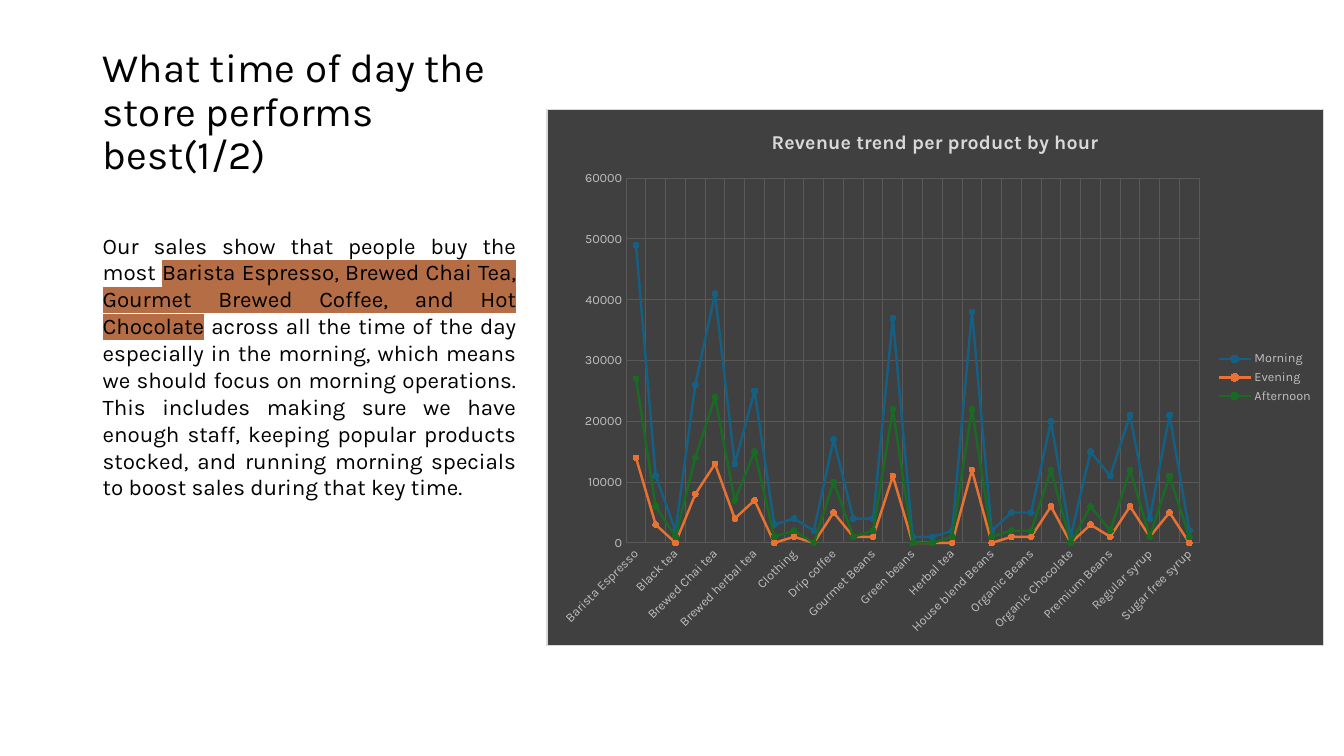
from dataclasses import dataclass

from lxml import etree
from pptx import Presentation
from pptx.chart.data import CategoryChartData
from pptx.dml.color import RGBColor
from pptx.enum.chart import XL_CHART_TYPE, XL_LEGEND_POSITION, XL_MARKER_STYLE, XL_TICK_MARK
from pptx.enum.text import MSO_ANCHOR, PP_ALIGN
from pptx.oxml import parse_xml
from pptx.oxml.ns import nsdecls, qn
from pptx.util import Inches, Pt

LINE_MARKERS = XL_CHART_TYPE.LINE_MARKERS
LEGEND_RIGHT = XL_LEGEND_POSITION.RIGHT
CIRCLE = XL_MARKER_STYLE.CIRCLE
NO_TICK = XL_TICK_MARK.NONE
TOP, BOTTOM = MSO_ANCHOR.TOP, MSO_ANCHOR.BOTTOM
LEFT, JUSTIFY = PP_ALIGN.LEFT, PP_ALIGN.JUSTIFY

FONT = "Karla"
COLORS = {
    "text": "000000", "highlight": "B56D45", "panel": "404040", "border": "D9D9D9",
    "grid": "595959", "label": "BFBFBF", "heading": "D9D9D9",
    "morning": "156082", "evening": "E97132", "afternoon": "196B24",
}


@dataclass(frozen=True)
class TextBlock:
    top: float
    height: float
    size: float
    pieces: tuple[tuple[str, bool], ...]  # wording, highlighted
    frame: dict
    paragraph: dict


@dataclass(frozen=True)
class DayPart:
    name: str
    color: str
    thousands: tuple[int, ...]


TEXT_BLOCKS = (
    TextBlock(0.5, 1.75, 28.8, (("What time of day the store performs best(1/2)", False),),
              {"vertical_anchor": BOTTOM, "margin_bottom": Inches(0.48)},
              {"alignment": LEFT, "line_spacing": 0.9}),
    TextBlock(2.25, 4.17, 16, (
        ("Our sales show that people buy the most ", False),
        ("Barista Espresso, Brewed Chai Tea, Gourmet Brewed Coffee, and Hot Chocolate", True),
        (" across all the time of the day especially in the morning, which means we should "
         "focus on morning operations. This includes making sure we have enough staff, keeping "
         "popular products stocked, and running morning specials to boost sales during that "
         "key time.", False)),
        {"vertical_anchor": TOP},
        {"alignment": JUSTIFY, "space_before": Pt(10)}),
)

PRODUCTS = (
    "Barista Espresso", "Biscotti", "Black tea", "Brewed Black tea", "Brewed Chai tea",
    "Brewed Green tea", "Brewed herbal tea", "Chai tea", "Clothing", "Drinking Chocolate",
    "Drip coffee", "Espresso Beans", "Gourmet Beans", "Gourmet brewed coffee", "Green beans",
    "Green tea", "Herbal tea", "Hot chocolate", "House blend Beans", "Housewares",
    "Organic Beans", "Organic brewed coffee", "Organic Chocolate", "Pastry", "Premium Beans",
    "Premium brewed coffee", "Regular syrup", "Scone", "Sugar free syrup",
)
DAY_PARTS = (
    DayPart("Morning", "morning", (49, 11, 2, 26, 41, 13, 25, 3, 4, 2, 17, 4, 4, 37, 1, 1, 2,
                                   38, 2, 5, 5, 20, 1, 15, 11, 21, 4, 21, 2)),
    DayPart("Evening", "evening", (14, 3, 0, 8, 13, 4, 7, 0, 1, 0, 5, 1, 1, 11, 0, 0, 0,
                                   12, 0, 1, 1, 6, 0, 3, 1, 6, 1, 5, 0)),
    DayPart("Afternoon", "afternoon", (27, 6, 1, 14, 24, 7, 15, 1, 2, 0, 10, 1, 2, 22, 0, 0, 1,
                                       22, 1, 2, 2, 12, 0, 6, 2, 12, 1, 11, 1)),
)


def rgb(name: str) -> RGBColor:
    return RGBColor.from_string(COLORS[name])


def apply_format(target, values: dict) -> None:
    for attribute, value in values.items():
        setattr(target, attribute, value)


def style_font(font, size: float, color: str, bold: bool = False) -> None:
    apply_format(font, {"name": FONT, "size": Pt(size), "bold": bold})
    font.color.rgb = rgb(color)


def style_line(line, color: str, width: float) -> None:
    line.color.rgb = rgb(color)
    line.width = Pt(width)


def highlight(run) -> None:
    mark = etree.Element(qn("a:highlight"))
    etree.SubElement(mark, qn("a:srgbClr"), val=COLORS["highlight"])
    run.font._element.find(qn("a:solidFill")).addnext(mark)


def add_text(slide, block: TextBlock) -> None:
    frame = slide.shapes.add_textbox(
        Inches(0.92), Inches(block.top), Inches(4.3), Inches(block.height)).text_frame
    apply_format(frame, {"word_wrap": True, **block.frame})
    paragraph = frame.paragraphs[0]
    apply_format(paragraph, block.paragraph)
    for wording, highlighted in block.pieces:
        run = paragraph.add_run()
        run.text = wording
        style_font(run.font, block.size, "text")
        if highlighted:
            highlight(run)


def style_axis(axis) -> None:
    apply_format(axis, {"major_tick_mark": NO_TICK, "minor_tick_mark": NO_TICK,
                        "has_major_gridlines": True})
    axis.format.line.fill.background()
    style_line(axis.major_gridlines.format.line, "grid", 0.75)
    style_font(axis.tick_labels.font, 9, "label")


def fill_panel(chart) -> None:
    panel = parse_xml(
        f'<c:spPr {nsdecls("c", "a")}>'
        f'<a:solidFill><a:srgbClr val="{COLORS["panel"]}"/></a:solidFill>'
        f'<a:ln w="{Pt(0.75)}"><a:solidFill><a:srgbClr val="{COLORS["border"]}"/></a:solidFill>'
        '</a:ln></c:spPr>')
    chart._chartSpace.find(qn("c:chart")).addnext(panel)


def add_revenue_chart(slide) -> None:
    revenue = CategoryChartData(number_format="General")
    revenue.categories = PRODUCTS
    for part in DAY_PARTS:
        revenue.add_series(part.name, [value * 1000 for value in part.thousands])
    chart = slide.shapes.add_chart(LINE_MARKERS, Inches(5.42), Inches(1.08), Inches(7.71),
                                   Inches(5.33), revenue).chart
    style_font(chart.font, 10, "text")
    fill_panel(chart)

    # Heading and legend
    heading = chart.chart_title.text_frame
    heading.text = "Revenue trend per product by hour"
    style_font(heading.paragraphs[0].runs[0].font, 14, "heading", bold=True)
    chart.chart_title.include_in_layout = False
    chart.has_legend = True
    apply_format(chart.legend, {"position": LEGEND_RIGHT, "include_in_layout": False})
    style_font(chart.legend.font, 9, "label")

    # Axes, with slanted product names
    for axis in (chart.category_axis, chart.value_axis):
        style_axis(axis)
    apply_format(chart.value_axis, {"minimum_scale": 0, "maximum_scale": 60000,
                                    "major_unit": 10000})
    product_labels = chart.category_axis._element.find(qn("c:txPr")).find(qn("a:bodyPr"))
    product_labels.set("rot", str(-45 * 60000))

    # One line per part of the day
    chart.plots[0].vary_by_categories = False
    for series, part in zip(chart.plots[0].series, DAY_PARTS):
        series.smooth = False
        style_line(series.format.line, part.color, 1.75)
        apply_format(series.marker, {"style": CIRCLE, "size": 4})
        series.marker.format.fill.solid()
        series.marker.format.fill.fore_color.rgb = rgb(part.color)
        style_line(series.marker.format.line, part.color, 0.75)


def main() -> None:
    deck = Presentation()
    apply_format(deck, {"slide_width": Inches(13.33), "slide_height": Inches(7.5)})
    slide = deck.slides.add_slide(deck.slide_layouts[6])
    for block in TEXT_BLOCKS:
        add_text(slide, block)
    add_revenue_chart(slide)
    deck.save("out.pptx")


if __name__ == "__main__":
    main()
